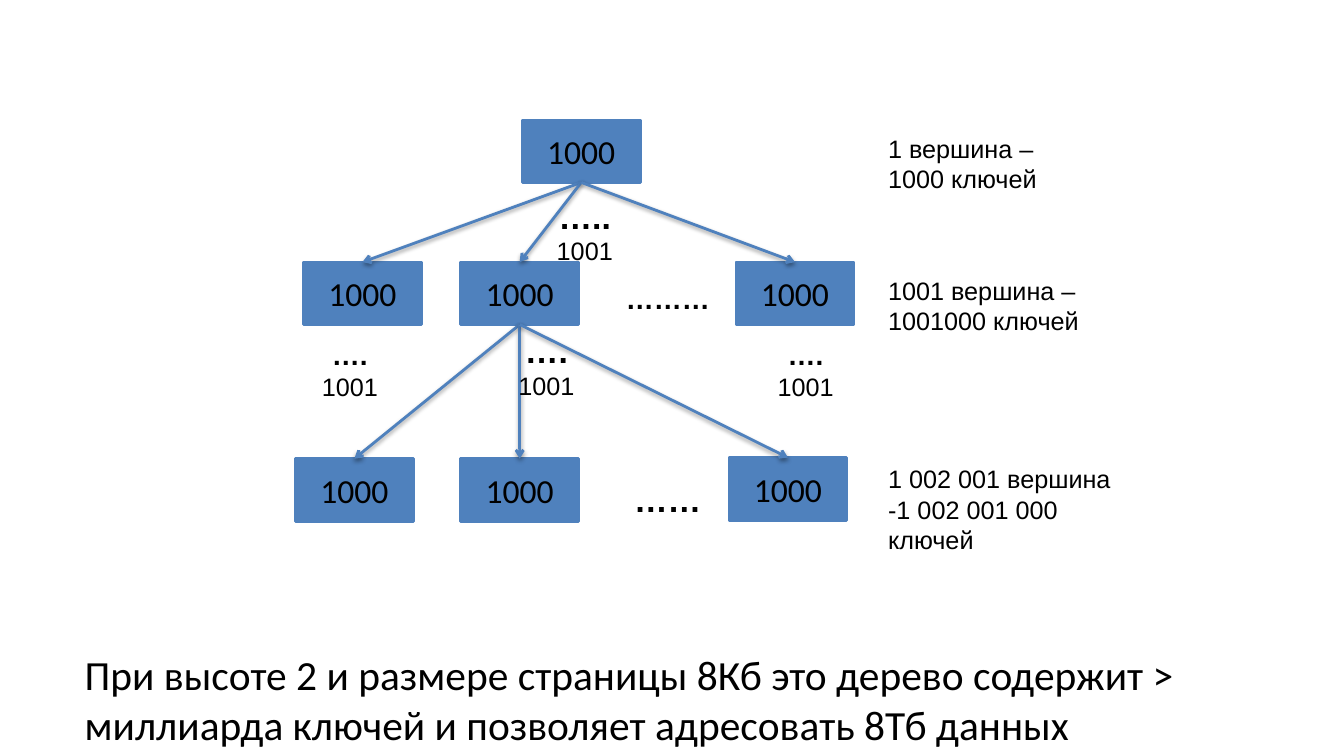
from lxml import etree
from pptx import Presentation
from pptx.dml.color import RGBColor
from pptx.enum.shapes import MSO_CONNECTOR, MSO_SHAPE
from pptx.enum.text import MSO_ANCHOR, MSO_AUTO_SIZE, PP_ALIGN
from pptx.oxml import parse_xml
from pptx.oxml.ns import qn
from pptx.util import Inches, Pt

RECTANGLE = MSO_SHAPE.RECTANGLE
STRAIGHT = MSO_CONNECTOR.STRAIGHT
MIDDLE, TOP = MSO_ANCHOR.MIDDLE, MSO_ANCHOR.TOP
NO_AUTOFIT = MSO_AUTO_SIZE.NONE
LEFT, CENTER = PP_ALIGN.LEFT, PP_ALIGN.CENTER
BLUE = RGBColor(0x4F, 0x81, 0xBD)
BLACK = RGBColor(0, 0, 0)
BOTTOM_SIDE, TOP_SIDE = 2, 0

CONCLUSION = ("При высоте 2 и размере страницы 8Кб это дерево содержит > "
              "миллиарда ключей и позволяет адресовать 8Тб данных")
KEYS_PER_NODE = "1000"
CHILDREN_PER_NODE = "1001"
NODE_WIDTH, NODE_HEIGHT = 1.17, 0.62
NODES = {
    "root": (5.18, 1.19),
    "first child": (3.01, 2.6),
    "second child": (4.57, 2.6),
    "last child": (7.3, 2.6),
    "first leaf": (2.93, 4.55),
    "second leaf": (4.57, 4.55),
    "last leaf": (7.23, 4.54),
}
BRANCHES = {
    "root": ["first child", "second child", "last child"],
    "second child": ["first leaf", "second leaf", "last leaf"],
}
CHILD_COUNTS = [
    ("….", 24, 5.04, 3.22, 0.8),
    ("….", 20, 3.09, 3.3, 0.73),
    ("…..", 24, 5.42, 1.89, 0.8),
    ("….", 20, 7.61, 3.3, 0.73),
]
SKIPPED_NODES = [
    ("………", 20, (6.11, 2.74, 1.03, 0.43)),
    ("……", 24, (6.19, 4.7, 0.88, 0.5)),
]
LEVEL_TOTALS = [
    ("1 вершина – 1000 ключей", (8.71, 1.27, 1.97, 0.71)),
    ("1001 вершина – 1001000 ключей", (8.71, 2.68, 2.24, 0.71)),
    ("1 002 001 вершина -1 002 001 000 ключей", (8.71, 4.55, 2.65, 1.01)),
]
ARROW_SHADOW = (
    '<a:effectLst xmlns:a="http://schemas.openxmlformats.org/drawingml/2006/main">'
    '<a:outerShdw blurRad="40000" dist="20000" dir="5400000" rotWithShape="0">'
    '<a:srgbClr val="000000"><a:alpha val="38000"/></a:srgbClr>'
    '</a:outerShdw></a:effectLst>'
)


def write(frame, *lines, sizes=(18,), bolds=(False,), font="Arial",
          align=LEFT, anchor=TOP, wrap=True):
    frame.word_wrap = wrap
    frame.auto_size = NO_AUTOFIT
    frame.vertical_anchor = anchor
    for index, (line, size, bold) in enumerate(zip(lines, sizes, bolds)):
        paragraph = frame.add_paragraph() if index else frame.paragraphs[0]
        paragraph.alignment = align
        paragraph.space_before = Pt(0)
        run = paragraph.add_run()
        run.text = line
        run.font.name = font
        run.font.size = Pt(size)
        run.font.bold = bold
        run.font.color.rgb = BLACK


def add_label(slide, box, *lines, **text_format):
    label = slide.shapes.add_textbox(*map(Inches, box))
    write(label.text_frame, *lines, **text_format)


def add_node(slide, left, top):
    node = slide.shapes.add_shape(
        RECTANGLE, *map(Inches, (left, top, NODE_WIDTH, NODE_HEIGHT)))
    node.shadow.inherit = False
    node.fill.solid()
    node.fill.fore_color.rgb = BLUE
    node.line.color.rgb = BLUE
    node.line.width = Pt(2)
    write(node.text_frame, KEYS_PER_NODE, sizes=(24,), font="Calibri",
          align=CENTER, anchor=MIDDLE)
    return node


def add_branch(slide, parent, child):
    branch = slide.shapes.add_connector(STRAIGHT, 0, 0, 0, 0)
    branch.begin_connect(parent, BOTTOM_SIDE)
    branch.end_connect(child, TOP_SIDE)
    branch.line.color.rgb = BLUE
    branch.line.width = Pt(2)
    etree.SubElement(branch.line._get_or_add_ln(), qn("a:tailEnd"), type="arrow")
    branch._element.spPr.append(parse_xml(ARROW_SHADOW))


def add_conclusion(slide):
    conclusion = slide.placeholders[1]
    conclusion.left, conclusion.top = Inches(0.67), Inches(6.39)
    conclusion.width, conclusion.height = Inches(12), Inches(1.08)
    properties = conclusion.text_frame.paragraphs[0]._p.get_or_add_pPr()
    properties.set("marL", str(Inches(0.07)))
    properties.set("indent", "0")
    etree.SubElement(properties, qn("a:buNone"))
    write(conclusion.text_frame, CONCLUSION, sizes=(29.6,), font="Calibri")


def main():
    presentation = Presentation()
    presentation.slide_width = Inches(13.33)
    presentation.slide_height = Inches(7.5)
    slide = presentation.slides.add_slide(presentation.slide_layouts[1])
    empty_title = slide.shapes.title._element
    empty_title.getparent().remove(empty_title)

    add_conclusion(slide)
    nodes = {name: add_node(slide, *corner) for name, corner in NODES.items()}
    for parent, children in BRANCHES.items():
        for child in children:
            add_branch(slide, nodes[parent], nodes[child])
    for dots, size, left, top, height in CHILD_COUNTS:
        add_label(slide, (left, top, 0.76, height), dots, CHILDREN_PER_NODE,
                  sizes=(size, 18), bolds=(True, False), align=CENTER, wrap=False)
    for dots, size, box in SKIPPED_NODES:
        add_label(slide, box, dots, sizes=(size,), bolds=(True,), wrap=False)
    for total, box in LEVEL_TOTALS:
        add_label(slide, box, total)

    presentation.save("out.pptx")


if __name__ == "__main__":
    main()
